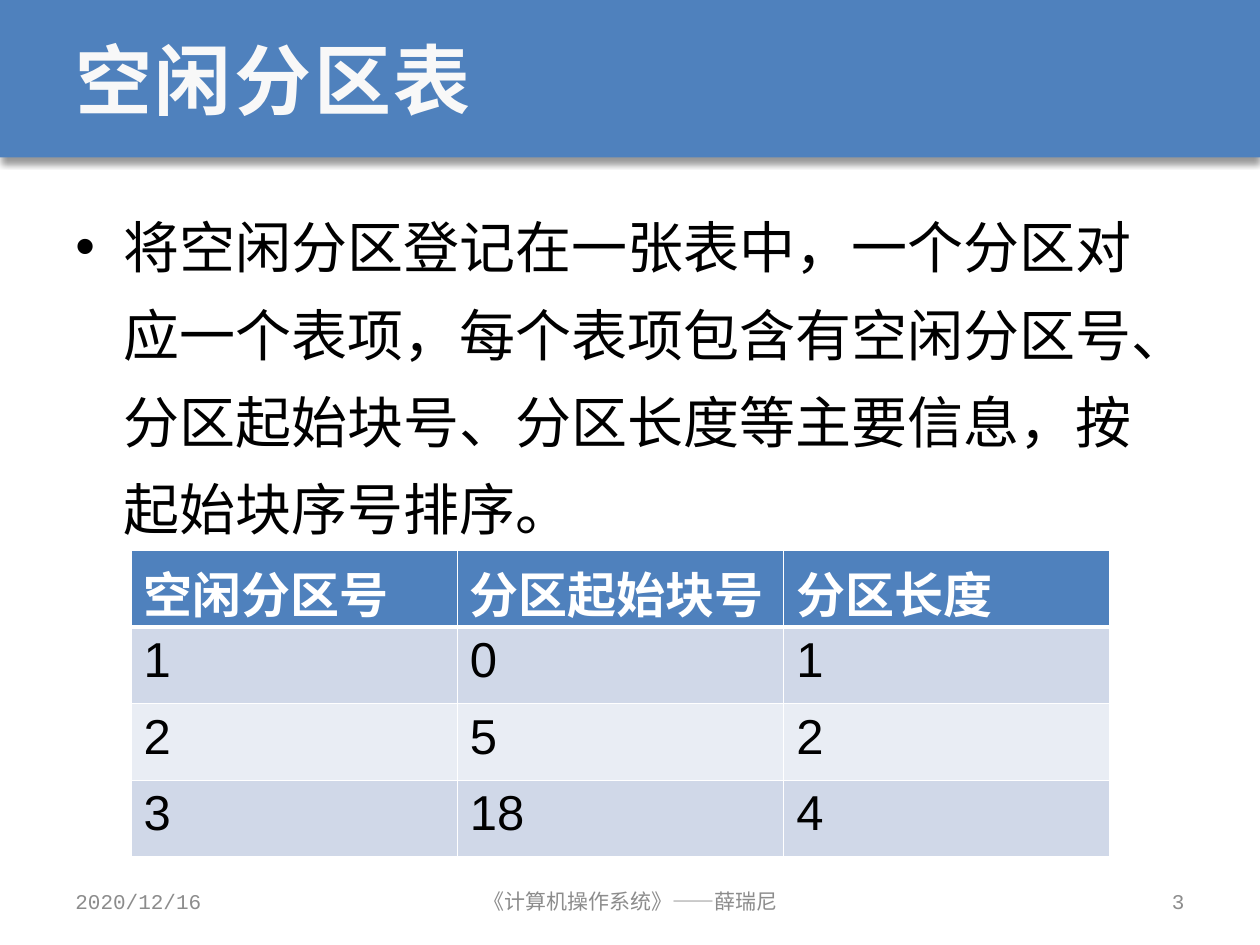
from dataclasses import dataclass

from lxml import etree
from pptx import Presentation
from pptx.dml.color import RGBColor
from pptx.enum.shapes import MSO_SHAPE as Shape
from pptx.enum.text import MSO_ANCHOR as Anchor, PP_ALIGN as Align
from pptx.oxml import parse_xml
from pptx.oxml.ns import nsdecls, qn
from pptx.util import Inches, Pt


@dataclass(frozen=True)
class Theme:
    blue: str = "4F81BD"
    title: str = "F8F8F8"
    white: str = "FFFFFF"
    text: str = "000000"
    footer: str = "8C8C8C"
    bands: tuple = ("D0D8E8", "E9EDF4")
    font: str = "Courier New"
    table_font: str = "Arial"
    title_size: int = 44
    body_size: int = 32
    table_size: int = 28
    footer_size: int = 12


theme = Theme()


def style_text(paragraph, size, color, font=theme.font, bold=False):
    for run in paragraph.runs:
        run.font.name = font
        run.font.size = Pt(size)
        run.font.bold = bold
        run.font.color.rgb = RGBColor.from_string(color)


def add_text(left, top, width, height, text, size, color,
             anchor=Anchor.MIDDLE, align=Align.LEFT, bold=False):
    box = slide.shapes.add_textbox(Inches(left), Inches(top), Inches(width), Inches(height))
    frame = box.text_frame
    frame.word_wrap = True
    frame.vertical_anchor = anchor
    frame.text = text
    paragraph = frame.paragraphs[0]
    paragraph.alignment = align
    style_text(paragraph, size, color, bold=bold)
    return paragraph


presentation = Presentation()
presentation.slide_width = Inches(10)
presentation.slide_height = Inches(7.5)
slide = presentation.slides.add_slide(presentation.slide_layouts[6])

# Title band with a soft shadow below
band = slide.shapes.add_shape(Shape.RECTANGLE, 0, 0, Inches(10), Inches(1.25))
band.fill.solid()
band.fill.fore_color.rgb = RGBColor.from_string(theme.blue)
band.line.fill.background()
band.shadow.inherit = False
band_effects = band._element.spPr.find(qn("a:effectLst"))
band_effects.append(parse_xml(
    f'<a:outerShdw {nsdecls("a")} blurRad="{Pt(4)}" dist="{Pt(3)}" dir="5400000" '
    f'algn="t" rotWithShape="0"><a:srgbClr val="{theme.text}">'
    '<a:alpha val="40000"/></a:srgbClr></a:outerShdw>'))

# Title
title = add_text(0.5, 0, 9, 1.25, "空闲分区表", theme.title_size, theme.title, bold=True)
title.runs[0].font._element.set("spc", "150")

# Bulleted body text
body = add_text(
    0.5, 1.48, 9, 5.33,
    "将空闲分区登记在一张表中，一个分区对应一个表项，每个表项包含有空闲分区号、"
    "分区起始块号、分区长度等主要信息，按起始块序号排序。",
    theme.body_size, theme.text, anchor=Anchor.TOP)
body.line_spacing = 1.3
body_properties = body._p.get_or_add_pPr()
body_properties.set("marL", str(Inches(0.38)))
body_properties.set("indent", str(-Inches(0.38)))
etree.SubElement(body_properties, qn("a:buFont"), typeface=theme.table_font)
etree.SubElement(body_properties, qn("a:buChar"), char="•")

# Footer: date, course and page number
for left, width, text, align in (
    (0.5, 2.33, "2020/12/16", Align.LEFT),
    (3.42, 3.17, "《计算机操作系统》——薛瑞尼", Align.CENTER),
    (7.17, 2.33, "3", Align.RIGHT),
):
    add_text(left, 6.95, width, 0.4, text, theme.footer_size, theme.footer, align=align)

# Table of free partitions
rows = (
    ("空闲分区号", "分区起始块号", "分区长度"),
    ("1", "0", "1"),
    ("2", "5", "2"),
    ("3", "18", "4"),
)
table = slide.shapes.add_table(
    len(rows), len(rows[0]), Inches(1.04), Inches(4.37), Inches(7.77), Inches(2.43)).table

for row_index, row in enumerate(rows):
    header = row_index == 0
    fill = theme.blue if header else theme.bands[(row_index - 1) % 2]
    for column_index, text in enumerate(row):
        cell = table.cell(row_index, column_index)
        cell.text = text
        style_text(cell.text_frame.paragraphs[0], theme.table_size,
                   theme.white if header else theme.text, theme.table_font, header)
        cell.fill.solid()
        cell.fill.fore_color.rgb = RGBColor.from_string(fill)

        # White rules, thicker between the header and the first row
        thick_side = {0: "lnB", 1: "lnT"}.get(row_index)
        cell_properties = cell._tc.get_or_add_tcPr()
        for position, side in enumerate(("lnL", "lnR", "lnT", "lnB")):
            width = Pt(3 if side == thick_side else 1)
            cell_properties.insert(position, parse_xml(
                f'<a:{side} {nsdecls("a")} w="{width}"><a:solidFill>'
                f'<a:srgbClr val="{theme.white}"/></a:solidFill></a:{side}>'))

presentation.save("out.pptx")
